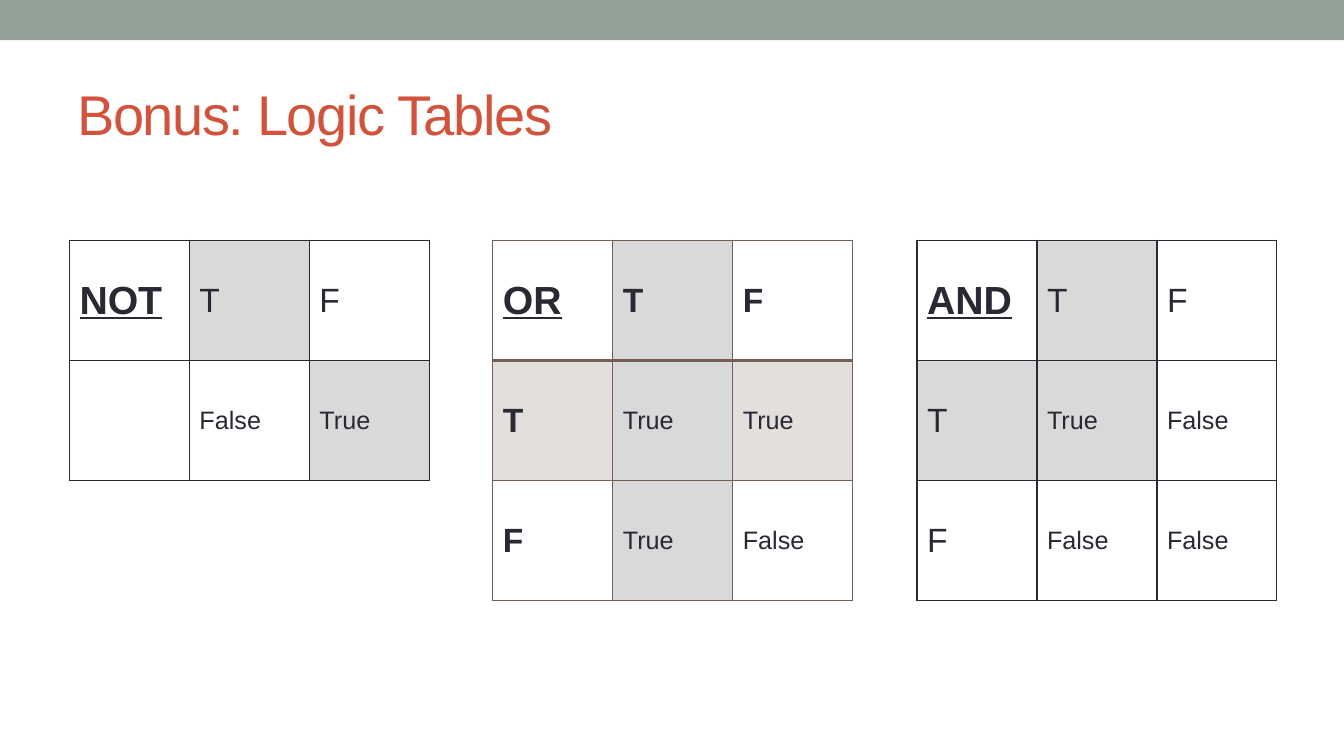
from lxml import etree
from pptx import Presentation
from pptx.dml.color import RGBColor
from pptx.enum import shapes, text
from pptx.oxml import ns
from pptx.util import Pt

TITLE = "Bonus: Logic Tables"
INK, BROWN, WHITE, GRAY, TAN = "292934", "726056", "FFFFFF", "D9D9D9", "E3DFDD"
BAND, RED = "93A299", "D2533C"

# Each table: left edge, border colour, bold labels, rows
LOGIC_TABLES = [
    dict(left=49.6, border=INK, bold=False,
         rows=[["NOT", "T", "F"], ["", "False", "True"]]),
    dict(left=352, border=BROWN, bold=True,
         rows=[["OR", "T", "F"], ["T", "True", "True"], ["F", "True", "False"]]),
    dict(left=655, border=INK, bold=False,
         rows=[["AND", "T", "F"], ["T", "True", "False"], ["F", "False", "False"]]),
]
TOP, CELL = 171.8, 85.7


def color(value):
    return RGBColor.from_string(value)


def write(frame, words, size, ink=INK, bold=False, underline=False, spacing=None):
    run = frame.paragraphs[0].add_run()
    run.text = words
    run.font.name = "Arial"
    run.font.size = Pt(size)
    run.font.bold = bold
    run.font.underline = underline
    run.font.color.rgb = color(ink)
    if spacing is not None:
        run.font._element.set("spc", str(spacing * 100))


def draw_borders(cell, ink, bottom, top):
    widths = {"L": 1, "R": 1, "T": top, "B": bottom}
    for side, width in widths.items():
        line = etree.SubElement(cell._tc.get_or_add_tcPr(), ns.qn(f"a:ln{side}"), w=str(Pt(width)))
        fill = etree.SubElement(line, ns.qn("a:solidFill"))
        etree.SubElement(fill, ns.qn("a:srgbClr"), val=ink)


def shade(words, row, column, is_or):
    if is_or and row == 1 and column != 1:
        return TAN
    return GRAY if words.startswith("T") else WHITE


def add_logic_table(slide, left, border, bold, rows):
    is_or = rows[0][0] == "OR"
    table = slide.shapes.add_table(len(rows), 3, Pt(left), Pt(TOP),
                                   Pt(3 * CELL), Pt(len(rows) * CELL)).table
    table.first_row = table.horz_banding = False
    for column in table.columns:
        column.width = Pt(CELL)
    for r, values in enumerate(rows):
        table.rows[r].height = Pt(CELL)
        for c, words in enumerate(values):
            cell = table.cell(r, c)
            cell.vertical_anchor = text.MSO_ANCHOR.MIDDLE
            # The OR table has a heavier rule under its header
            draw_borders(cell, border, bottom=2 if is_or and r == 0 else 1,
                         top=2 if is_or and r == 1 else 1)
            cell.fill.solid()
            cell.fill.fore_color.rgb = color(shade(words, r, c, is_or))
            if not words:
                continue
            if r == c == 0:
                write(cell.text_frame, words, 28, bold=True, underline=True)
            elif r == 0 or c == 0:
                write(cell.text_frame, words, 24, bold=bold)
            else:
                write(cell.text_frame, words, 18)


def main():
    deck = Presentation()
    deck.slide_width, deck.slide_height = Pt(960), Pt(540)
    slide = deck.slides.add_slide(deck.slide_layouts[5])

    # Top band
    band = slide.shapes.add_shape(shapes.MSO_SHAPE.RECTANGLE, 0, 0, Pt(960), Pt(28.8))
    band.shadow.inherit = False
    band.fill.solid()
    band.fill.fore_color.rgb = color(BAND)
    band.line.fill.background()

    # Title
    title = slide.shapes.title
    title.left, title.top, title.width, title.height = Pt(48), Pt(42), Pt(864), Pt(78)
    title.text_frame.vertical_anchor = text.MSO_ANCHOR.MIDDLE
    title.text_frame.paragraphs[0].alignment = text.PP_ALIGN.LEFT
    write(title.text_frame, TITLE, 40, ink=RED, spacing=-1)

    # Logic tables
    for logic in LOGIC_TABLES:
        add_logic_table(slide, **logic)

    deck.save("out.pptx")


if __name__ == "__main__":
    main()
